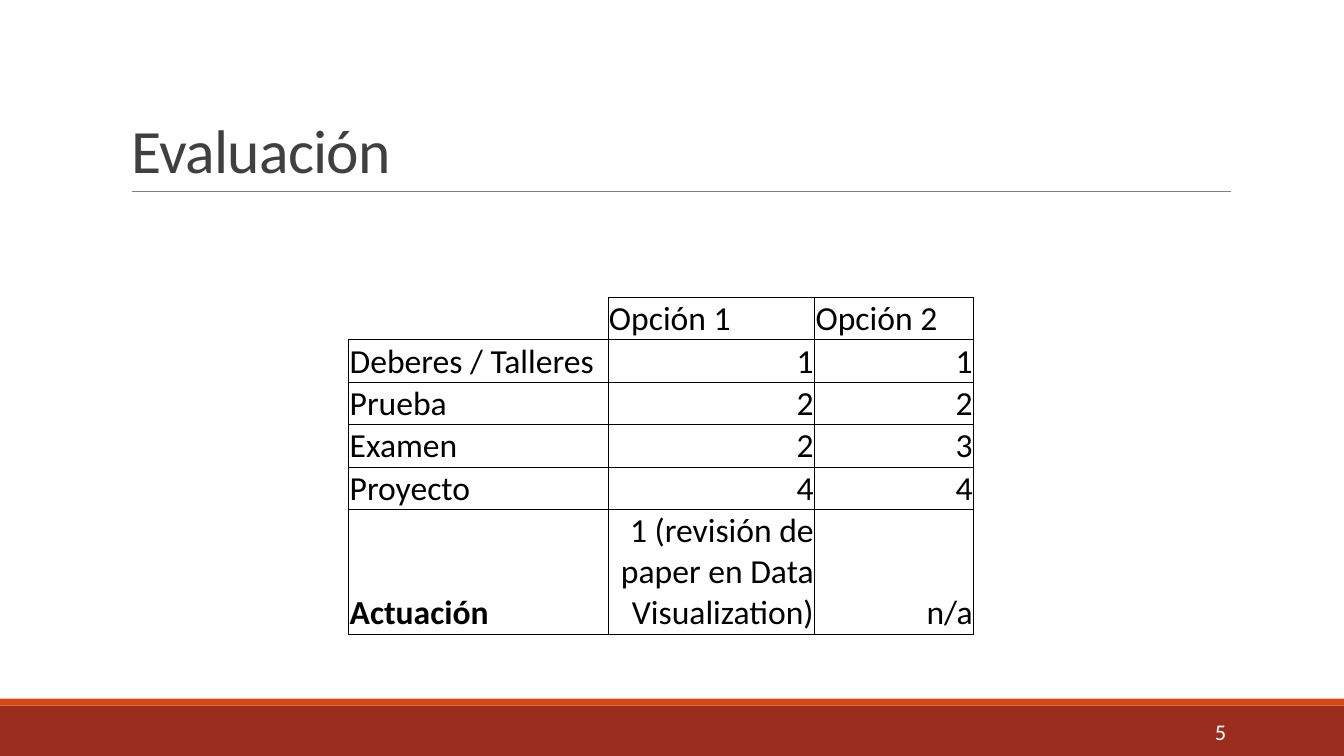
from dataclasses import dataclass

from lxml.etree import SubElement
from pptx import Presentation
from pptx.dml.color import RGBColor
from pptx.enum.shapes import MSO_CONNECTOR as Connector, MSO_SHAPE as Shape
from pptx.enum.text import MSO_ANCHOR as Anchor, MSO_AUTO_SIZE as AutoSize, PP_ALIGN as Align
from pptx.oxml import parse_xml
from pptx.oxml.ns import nsdecls, qn
from pptx.util import Pt

FONT = "Calibri"
WIDTH, HEIGHT = 960, 540
COLUMN_WIDTHS = (185.2, 147.6, 113.6)
ROW_HEIGHTS = (30.3,) * 5 + (89,)
BORDER_SIDES = ("L", "R", "T", "B")
GRADES = (
    ("", "Opción 1", "Opción 2"),
    ("Deberes / Talleres", "1", "1"),
    ("Prueba", "2", "2"),
    ("Examen", "2", "3"),
    ("Proyecto", "4", "4"),
    ("Actuación", "1 (revisión de paper en Data Visualization)", "n/a"),
)


@dataclass
class Band:
    top: float
    height: float
    color: str


BANDS = (Band(504, 36, "9B2D1F"), Band(499, 5, "D34817"))


def rgb(value: str) -> RGBColor:
    return RGBColor.from_string(value)


def format_text(para, size: float, color: str, align=Align.LEFT, bold: bool = False) -> None:
    para.alignment = align
    for span in para.runs:
        span.font.name = FONT
        span.font.size = Pt(size)
        span.font.bold = bold
        span.font.color.rgb = rgb(color)


def draw_band(page, band: Band) -> None:
    bar = page.shapes.add_shape(Shape.RECTANGLE, 0, Pt(band.top), Pt(WIDTH), Pt(band.height))
    bar.shadow.inherit = False
    bar.fill.solid()
    bar.fill.fore_color.rgb = rgb(band.color)
    bar.line.fill.background()


def draw_rule(page) -> None:
    rule = page.shapes.add_connector(Connector.STRAIGHT, Pt(94.3), Pt(136.8), Pt(879), Pt(136.8))
    rule.line.color.rgb = rgb("808080")
    rule.line.width = Pt(0.5)
    SubElement(rule._element.spPr, qn("a:effectLst"))


def write_title(page) -> None:
    title = page.shapes.title
    title.left, title.top, title.width, title.height = Pt(86.4), Pt(22.6), Pt(792), Pt(114.2)
    frame = title.text_frame
    frame.text = "Evaluación"
    frame.word_wrap = True
    frame.auto_size = AutoSize.NONE
    frame.vertical_anchor = Anchor.BOTTOM
    para = frame.paragraphs[0]
    para.line_spacing = 0.85
    format_text(para, 44, "404040")
    para.runs[0]._r.get_or_add_rPr().set("spc", "-50")


def write_page_number(page) -> None:
    box = page.shapes.add_textbox(Pt(780), Pt(508.3), Pt(103), Pt(28.8))
    frame = box.text_frame
    frame.word_wrap = True
    frame.vertical_anchor = Anchor.MIDDLE
    frame.text = "5"
    format_text(frame.paragraphs[0], 16, "FFFFFF", Align.RIGHT)


def set_borders(cell, visible: str) -> None:
    properties = cell._tc.get_or_add_tcPr()
    for index, side in enumerate(BORDER_SIDES):
        paint = '<a:solidFill><a:srgbClr val="000000"/></a:solidFill>' if side in visible else "<a:noFill/>"
        border = parse_xml(f'<a:ln{side} {nsdecls("a")} w="{Pt(0.5)}">{paint}</a:ln{side}>')
        properties.insert(index, border)


def draw_grades(page) -> None:
    frame = page.shapes.add_table(
        len(GRADES), len(COLUMN_WIDTHS), Pt(249.1), Pt(212.4),
        Pt(sum(COLUMN_WIDTHS)), Pt(sum(ROW_HEIGHTS)),
    )
    table = frame.table
    table.first_row = table.horz_banding = False
    for column, width in zip(table.columns, COLUMN_WIDTHS):
        column.width = Pt(width)
    for row, height in zip(table.rows, ROW_HEIGHTS):
        row.height = Pt(height)
    for row_index, values in enumerate(GRADES):
        for column_index, value in enumerate(values):
            cell = table.cell(row_index, column_index)
            cell.margin_left = cell.margin_right = cell.margin_top = Pt(0.7)
            cell.margin_bottom = 0
            cell.vertical_anchor = Anchor.BOTTOM
            cell.fill.background()
            set_borders(cell, "LRTB" if value else "RB")
            if value:
                cell.text_frame.text = value
                align = Align.RIGHT if row_index and column_index else Align.LEFT
                format_text(cell.text_frame.paragraphs[0], 24, "000000", align, value == "Actuación")


def main() -> None:
    deck = Presentation()
    deck.slide_width, deck.slide_height = Pt(WIDTH), Pt(HEIGHT)
    page = deck.slides.add_slide(deck.slide_layouts[5])
    for band in BANDS:
        draw_band(page, band)
    draw_rule(page)
    write_title(page)
    write_page_number(page)
    draw_grades(page)
    deck.save("out.pptx")


if __name__ == "__main__":
    main()
